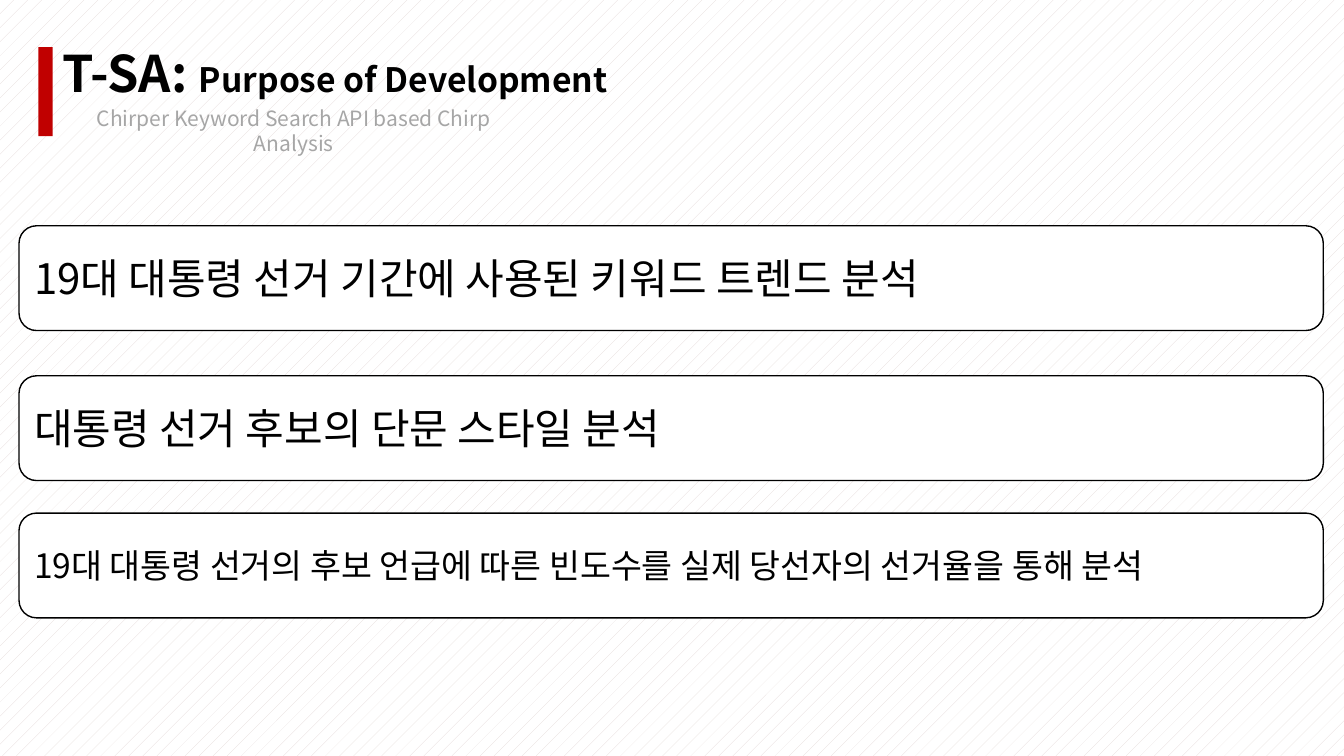
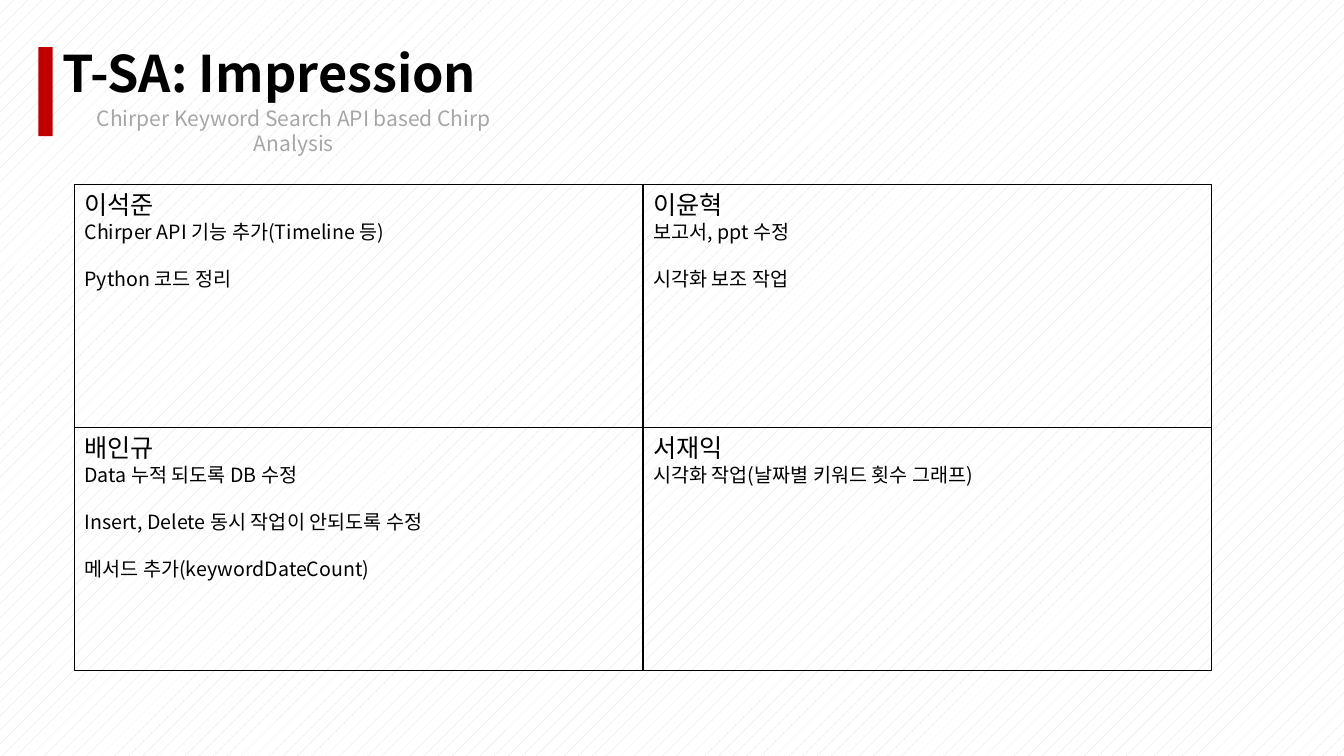
from dataclasses import dataclass

from lxml.etree import SubElement
from pptx import Presentation
from pptx.dml.color import RGBColor as Rgb
from pptx.enum.dml import MSO_PATTERN as Pattern
from pptx.enum.shapes import MSO_SHAPE as Shape
from pptx.enum.text import MSO_ANCHOR as Anchor, MSO_AUTO_SIZE as AutoSize, PP_ALIGN as Align
from pptx.oxml.ns import qn
from pptx.util import Cm, Pt

SUBTITLE = "Chirper Keyword Search API based Chirp Analysis"
PURPOSE_TITLE = [("T-SA: ", 36), ("Purpose of Development", 24)]
IMPRESSION_TITLE = [("T-SA: Impression", 36)]

# Top in cm, text, type size
PURPOSES = [
    (5.69, "19대 대통령 선거 기간에 사용된 키워드 트렌드 분석", 30),
    (9.47, "대통령 선거 후보의 단문 스타일 분석", 30),
    (12.93, "19대 대통령 선거의 후보 언급에 따른 빈도수를 실제 당선자의 선거율을 통해 분석", 24),
]

MEMBERS = [
    ("이석준", ["Chirper API 기능 추가(Timeline 등)", "Python 코드 정리"]),
    ("이윤혁", ["보고서, ppt 수정", "시각화 보조 작업"]),
    ("배인규", ["Data 누적 되도록 DB 수정", "Insert, Delete 동시 작업이 안되도록 수정",
             "메서드 추가(keywordDateCount)"]),
    ("서재익", ["시각화 작업(날짜별 키워드 횟수 그래프)"]),
]


@dataclass(frozen=True)
class Theme:
    """Colours, font and type sizes of the deck."""
    font: str = "Noto Sans CJK KR"
    ink: Rgb = Rgb(0x00, 0x00, 0x00)
    paper: Rgb = Rgb(0xFF, 0xFF, 0xFF)
    hatch: Rgb = Rgb(0xE3, 0xD9, 0xD7)
    accent: Rgb = Rgb(0xC0, 0x00, 0x00)
    muted: Rgb = Rgb(0xA6, 0xA6, 0xA6)
    subtitle: int = 15
    name: int = 18
    task: float = 14
    task_gap: float = 16.8
    outline: int = 1


THEME = Theme()
HEADER_LEFT = 1.32
CARD_LEFT, CARD_WIDTH, CARD_HEIGHT = 0.48, 32.87, 2.64
GRID_LEFT, GRID_TOP, PANEL_WIDTH, PANEL_HEIGHT, GRID_COLUMNS = 1.88, 4.65, 14.33, 6.12, 2


def add_run(paragraph, text, size, color=THEME.ink, bold=False):
    """Add one run in the deck's font, for Latin and Korean alike."""
    run = paragraph.add_run()
    run.text = text
    font = run.font
    font.name, font.size, font.bold = THEME.font, Pt(size), bold
    font.color.rgb = color
    SubElement(run._r.get_or_add_rPr(), qn("a:ea"), typeface=THEME.font)


def add_box(slide, kind, box, fill=None, outlined=True):
    """Add a preset shape at a box in cm, with top-left text."""
    shape = slide.shapes.add_shape(kind, *map(Cm, box))
    shape.shadow.inherit = False
    if fill is None:
        shape.fill.background()
    else:
        shape.fill.solid()
        shape.fill.fore_color.rgb = fill
    if outlined:
        shape.line.color.rgb = THEME.ink
        shape.line.width = Pt(THEME.outline)
    else:
        shape.line.fill.background()
    frame = shape.text_frame
    frame.word_wrap = True
    frame.vertical_anchor = Anchor.TOP
    frame.paragraphs[0].alignment = Align.LEFT
    return frame


def add_slide(prs, title_parts):
    """Add a slide with the red bar, title and subtitle."""
    slide = prs.slides.add_slide(prs.slide_layouts[5])
    title = slide.shapes.title
    title.left, title.top, title.width, title.height = map(Cm, (HEADER_LEFT, 0.94, 19.53, 1.8))
    heading = title.text_frame
    heading.vertical_anchor = Anchor.TOP
    heading.auto_size = AutoSize.NONE
    heading.paragraphs[0].alignment = Align.LEFT
    for text, size in title_parts:
        add_run(heading.paragraphs[0], text, size, bold=True)

    add_box(slide, Shape.RECTANGLE, (0.97, 1.19, 0.36, 2.24), THEME.accent, outlined=False)

    subtitle = slide.shapes.add_textbox(*map(Cm, (HEADER_LEFT, 2.54, 12.17, 0.89))).text_frame
    subtitle.word_wrap = True
    subtitle.paragraphs[0].alignment = Align.CENTER
    add_run(subtitle.paragraphs[0], SUBTITLE, THEME.subtitle, THEME.muted)
    return slide


def add_purpose_cards(slide):
    """Add one rounded card per purpose."""
    for top, purpose, size in PURPOSES:
        card = add_box(slide, Shape.ROUNDED_RECTANGLE,
                       (CARD_LEFT, top, CARD_WIDTH, CARD_HEIGHT), THEME.paper)
        card.vertical_anchor = Anchor.MIDDLE
        add_run(card.paragraphs[0], purpose, size)


def add_member_panels(slide):
    """Add a grid of panels, each with a member and their tasks."""
    for index, (member, tasks) in enumerate(MEMBERS):
        row, column = divmod(index, GRID_COLUMNS)
        panel = add_box(slide, Shape.RECTANGLE,
                        (GRID_LEFT + column * PANEL_WIDTH, GRID_TOP + row * PANEL_HEIGHT,
                         PANEL_WIDTH, PANEL_HEIGHT))
        add_run(panel.paragraphs[0], member, THEME.name)
        for position, task in enumerate(tasks):
            line = panel.add_paragraph()
            line.alignment = Align.LEFT
            line.space_before = Pt(THEME.task_gap if position else 0)
            add_run(line, task, THEME.task)


def main():
    """Build and save the deck."""
    prs = Presentation()
    prs.slide_width, prs.slide_height = Cm(33.87), Cm(19.05)
    backdrop = prs.slide_master.background.fill
    backdrop.patterned()
    backdrop.pattern = Pattern.PERCENT_5
    backdrop.fore_color.rgb = THEME.hatch
    backdrop.back_color.rgb = THEME.paper
    add_purpose_cards(add_slide(prs, PURPOSE_TITLE))
    add_member_panels(add_slide(prs, IMPRESSION_TITLE))
    prs.save("out.pptx")


main()
